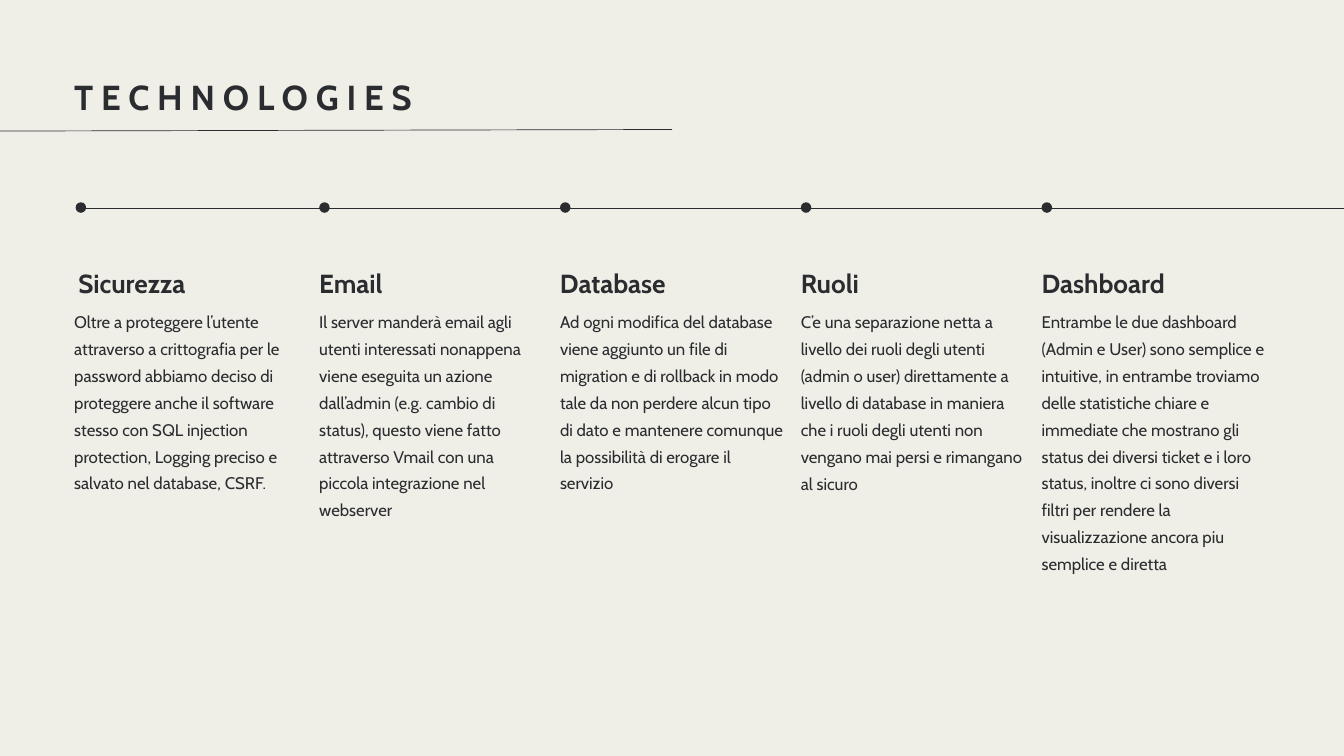
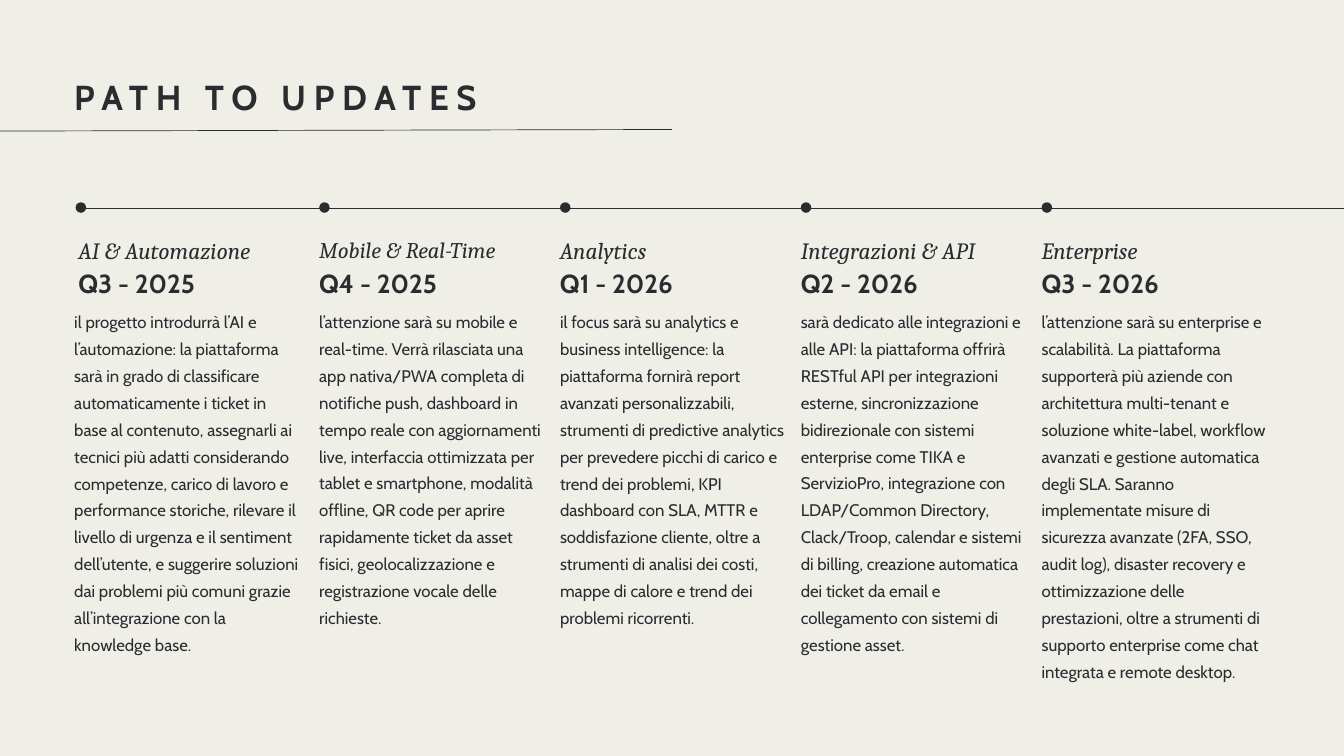
from dataclasses import dataclass, replace

from lxml import etree
from pptx import Presentation
from pptx import util as u
from pptx.dml.color import RGBColor
from pptx.enum import shapes, text
from pptx.oxml.ns import qn

EMU_PER_PX = 9525


def px(length: int) -> u.Emu:
    return u.Emu(length * EMU_PER_PX)


# Theme: colours and type
@dataclass(frozen=True)
class TextStyle:
    font: str
    size: float
    leading: float  # line spacing in points
    bold: bool = False
    italic: bool = False
    tracking: int = 0  # hundredths of a point


@dataclass(frozen=True)
class Theme:
    paper: RGBColor = RGBColor.from_string("EFEEE7")
    ink: RGBColor = RGBColor.from_string("2B2C30")
    line_width: float = 0.75
    title: TextStyle = TextStyle("Cabin", 37.1, 52, bold=True, tracking=840)
    label: TextStyle = TextStyle("Cambria", 25, 30, italic=True)
    heading: TextStyle = TextStyle("Cabin", 28, 33.6, bold=True)
    body: TextStyle = TextStyle("Cabin", 18, 28.8)


THEME = Theme()
LABEL_LEADING = 1.2


# Layout, in px
@dataclass(frozen=True)
class Box:
    left: int
    top: int
    width: int
    height: int


SLIDE_WIDTH, SLIDE_HEIGHT = 1920, 1080
TITLE_BOX = Box(106, 99, 1704, 68)
TITLE_RULE = ((-744, 189), (960, 185))
TIMELINE = ((118, 297), (1945, 297))
FIRST_LEFT, COLUMN_PITCH = 112, 344
FIRST_DOT_LEFT, FIRST_BODY_LEFT = 108, 106
DOT_TOP, DOT_SIZE = 289, 15
LABEL_TOP, LABEL_HEIGHT = 337, 40
HEADING_TOP, HEADING_HEIGHT, HEADING_WIDTH = 382, 45, 293
BODY_TOP, BODY_WIDTH, BODY_LINE = 436, 325, 38


# Content
@dataclass(frozen=True)
class Milestone:
    heading: str
    body: str
    body_lines: int
    label: str = ""
    label_size: int = 25


@dataclass(frozen=True)
class TimelineSlide:
    title: str
    milestones: tuple[Milestone, ...]


TECHNOLOGIES = TimelineSlide("TECHNOLOGIES", (
    Milestone(
        "Sicurezza",
        "Oltre a proteggere l’utente attraverso a crittografia per le password "
        "abbiamo deciso di proteggere anche il software stesso con SQL injection "
        "protection, Logging preciso e salvato nel database, CSRF.", 8),
    Milestone(
        "Email",
        "Il server manderà email agli utenti interessati nonappena viene eseguita "
        "un azione dall’admin (e.g. cambio di status), questo viene fatto "
        "attraverso Vmail con una piccola integrazione nel webserver", 8),
    Milestone(
        "Database",
        "Ad ogni modifica del database viene aggiunto un file di migration e di "
        "rollback in modo tale da non perdere alcun tipo di dato e mantenere "
        "comunque la possibilità di erogare il servizio", 8),
    Milestone(
        "Ruoli",
        "C’e una separazione netta a livello dei ruoli degli utenti (admin o user) "
        "direttamente a livello di database in maniera che i ruoli degli utenti "
        "non vengano mai persi e rimangano al sicuro", 7),
    Milestone(
        "Dashboard",
        "Entrambe le due dashboard (Admin e User) sono semplice e intuitive, in "
        "entrambe troviamo delle statistiche chiare e immediate che mostrano gli "
        "status dei diversi ticket e i loro status, inoltre ci sono diversi filtri "
        "per rendere la visualizzazione ancora piu semplice e diretta", 11),
))

UPDATES = TimelineSlide("PATH TO UPDATES", (
    Milestone(
        "Q3 - 2025",
        "il progetto introdurrà l’AI e l’automazione: la piattaforma sarà in grado "
        "di classificare automaticamente i ticket in base al contenuto, assegnarli "
        "ai tecnici più adatti considerando competenze, carico di lavoro e "
        "performance storiche, rilevare il livello di urgenza e il sentiment "
        "dell’utente, e suggerire soluzioni dai problemi più comuni grazie "
        "all’integrazione con la knowledge base.", 16, "AI & Automazione"),
    Milestone(
        "Q4 - 2025",
        "l’attenzione sarà su mobile e real-time. Verrà rilasciata una app "
        "nativa/PWA completa di notifiche push, dashboard in tempo reale con "
        "aggiornamenti live, interfaccia ottimizzata per tablet e smartphone, "
        "modalità offline, QR code per aprire rapidamente ticket da asset fisici, "
        "geolocalizzazione e registrazione vocale delle richieste.",
        14, "Mobile & Real-Time", 24),
    Milestone(
        "Q1 - 2026",
        "il focus sarà su analytics e business intelligence: la piattaforma "
        "fornirà report avanzati personalizzabili, strumenti di predictive "
        "analytics per prevedere picchi di carico e trend dei problemi, KPI "
        "dashboard con SLA, MTTR e soddisfazione cliente, oltre a strumenti di "
        "analisi dei costi, mappe di calore e trend dei problemi ricorrenti.",
        13, "Analytics"),
    Milestone(
        "Q2 - 2026",
        "sarà dedicato alle integrazioni e alle API: la piattaforma offrirà "
        "RESTful API per integrazioni esterne, sincronizzazione bidirezionale con "
        "sistemi enterprise come TIKA e ServizioPro, integrazione con LDAP/Common "
        "Directory, Clack/Troop, calendar e sistemi di billing, creazione "
        "automatica dei ticket da email e collegamento con sistemi di gestione "
        "asset.", 14, "Integrazioni & API"),
    Milestone(
        "Q3 - 2026",
        "l’attenzione sarà su enterprise e scalabilità. La piattaforma supporterà "
        "più aziende con architettura multi-tenant e soluzione white-label, "
        "workflow avanzati e gestione automatica degli SLA. Saranno implementate "
        "misure di sicurezza avanzate (2FA, SSO, audit log), disaster recovery e "
        "ottimizzazione delle prestazioni, oltre a strumenti di supporto "
        "enterprise come chat integrata e remote desktop.", 17, "Enterprise"),
))


# Drawing helpers
def write_text(shape, content: str, style: TextStyle) -> None:
    frame = shape.text_frame
    frame.margin_left = frame.margin_top = 0
    frame.margin_right = frame.margin_bottom = 0
    frame.word_wrap = True
    frame.vertical_anchor = text.MSO_ANCHOR.TOP
    frame.auto_size = text.MSO_AUTO_SIZE.SHAPE_TO_FIT_TEXT
    paragraph = frame.paragraphs[0]
    paragraph.alignment = text.PP_ALIGN.LEFT
    paragraph.line_spacing = u.Pt(style.leading)
    paragraph.space_before = u.Pt(0)
    run = paragraph.add_run()
    run.text = content
    run.font.name = style.font
    run.font.size = u.Pt(style.size)
    run.font.bold = style.bold
    run.font.italic = style.italic
    run.font.color.rgb = THEME.ink
    if style.tracking:
        run.font._element.set("spc", str(style.tracking))


def add_text(slide, box: Box, content: str, style: TextStyle) -> None:
    shape = slide.shapes.add_textbox(
        px(box.left), px(box.top), px(box.width), px(box.height))
    write_text(shape, content, style)


def add_line(slide, ends: tuple[tuple[int, int], tuple[int, int]]) -> None:
    (x1, y1), (x2, y2) = ends
    connector = slide.shapes.add_connector(
        shapes.MSO_CONNECTOR.STRAIGHT, px(x1), px(y1), px(x2), px(y2))
    connector.line.color.rgb = THEME.ink
    connector.line.width = u.Pt(THEME.line_width)
    etree.SubElement(connector._element.spPr, qn("a:effectLst"))


def add_dot(slide, left: int) -> None:
    dot = slide.shapes.add_shape(
        shapes.MSO_SHAPE.OVAL, px(left), px(DOT_TOP), px(DOT_SIZE), px(DOT_SIZE))
    dot.shadow.inherit = False
    dot.fill.solid()
    dot.fill.fore_color.rgb = THEME.ink
    dot.line.fill.background()


def add_title(slide, content: str) -> None:
    title = slide.shapes.title
    title.left, title.top = px(TITLE_BOX.left), px(TITLE_BOX.top)
    title.width, title.height = px(TITLE_BOX.width), px(TITLE_BOX.height)
    write_text(title, content, THEME.title)
    add_line(slide, TITLE_RULE)


def add_milestone(slide, index: int, milestone: Milestone) -> None:
    left = FIRST_LEFT + index * COLUMN_PITCH
    # The first dot and body sit slightly left of their heading
    dot_left = left if index else FIRST_DOT_LEFT
    body_left = left if index else FIRST_BODY_LEFT
    body_height = milestone.body_lines * BODY_LINE - 3

    add_dot(slide, dot_left)
    if milestone.label:
        label_style = replace(THEME.label, size=milestone.label_size,
                              leading=milestone.label_size * LABEL_LEADING)
        add_text(slide, Box(left, LABEL_TOP, HEADING_WIDTH, LABEL_HEIGHT),
                 milestone.label, label_style)
    add_text(slide, Box(left, HEADING_TOP, HEADING_WIDTH, HEADING_HEIGHT),
             milestone.heading, THEME.heading)
    add_text(slide, Box(body_left, BODY_TOP, BODY_WIDTH, body_height),
             milestone.body, THEME.body)


def add_timeline_slide(presentation, content: TimelineSlide) -> None:
    title_only = presentation.slide_layouts.get_by_name("Title Only")
    slide = presentation.slides.add_slide(title_only)
    add_title(slide, content.title)
    for index, milestone in enumerate(content.milestones):
        add_milestone(slide, index, milestone)
    add_line(slide, TIMELINE)


def main() -> None:
    presentation = Presentation()
    presentation.slide_width = px(SLIDE_WIDTH)
    presentation.slide_height = px(SLIDE_HEIGHT)

    # One background shared by every slide
    background = presentation.slide_master.background.fill
    background.solid()
    background.fore_color.rgb = THEME.paper

    for content in (TECHNOLOGIES, UPDATES):
        add_timeline_slide(presentation, content)
    presentation.save("out.pptx")


if __name__ == "__main__":
    main()
